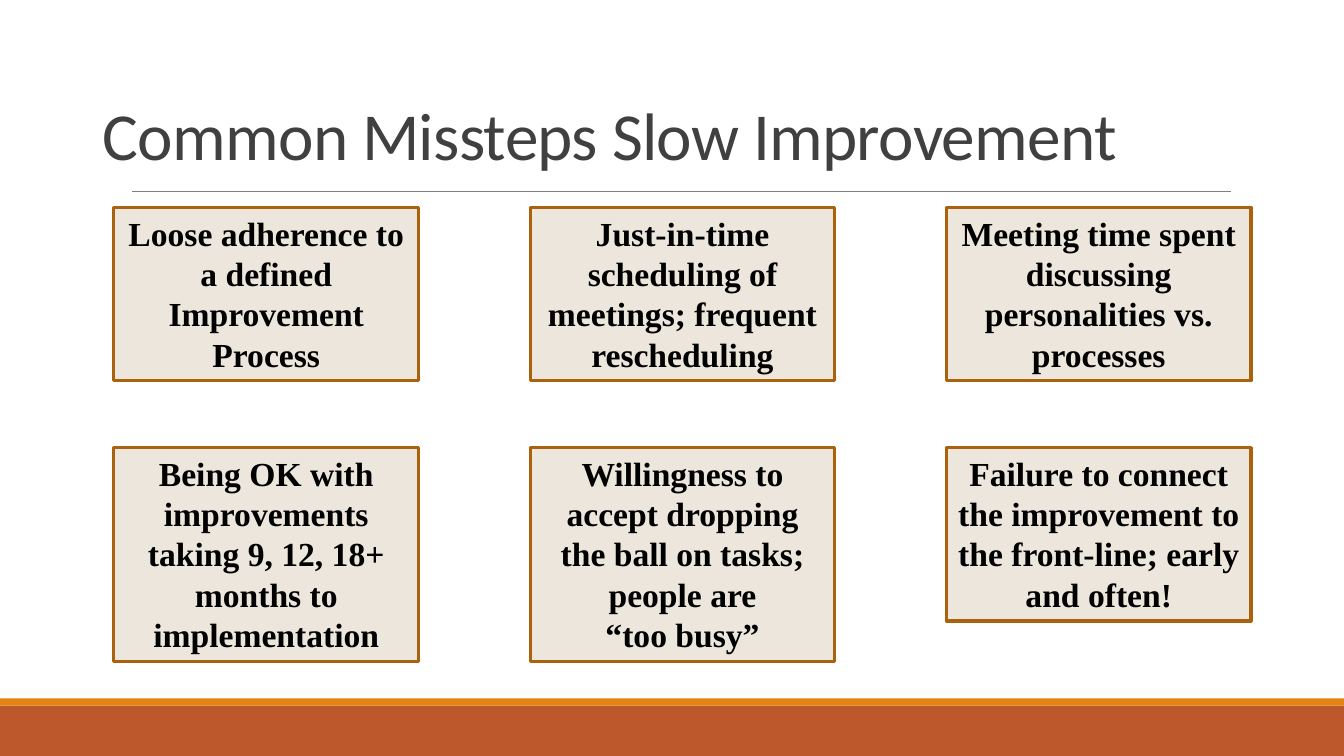
from pptx import Presentation
from pptx.dml.color import RGBColor
from pptx.enum.shapes import MSO_CONNECTOR, MSO_SHAPE
from pptx.enum.text import MSO_ANCHOR as Anchor, MSO_AUTO_SIZE as AutoSize, PP_ALIGN as Align
from pptx.oxml.ns import qn
from pptx.util import Cm, Pt
from lxml.etree import SubElement

COLORS = {
    "title": "404040",
    "rule": "808080",
    "card": "ECE6DD",
    "card_edge": "AB620D",
    "card_text": "000000",
    "footer": "BD582C",
    "footer_edge": "E48312",
}

# Each misstep: its text, by forced line, and the card height in cm
MISSTEPS = [
    (["Loose adherence to a defined Improvement Process"], 4.37),
    (["Just-in-time scheduling of meetings; frequent rescheduling"], 4.37),
    (["Meeting time spent discussing personalities vs. processes"], 4.37),
    (["Being OK with improvements taking 9, 12, 18+ months to implementation"], 5.38),
    (["Willingness to accept dropping the ball on tasks; people are", "“too busy”"], 5.38),
    (["Failure to connect the improvement to the front-line; early and often!"], 4.37),
]
COLUMNS = 3
CARD_LEFT, CARD_TOP, CARD_WIDTH = 2.87, 5.23, 7.68
COLUMN_STEP, ROW_STEP = 10.49, 6.05


def color(name):
    return RGBColor.from_string(COLORS[name])


def add_rect(slide, left, top, width, height, fill, edge=None):
    rect = slide.shapes.add_shape(
        MSO_SHAPE.RECTANGLE, Cm(left), Cm(top), Cm(width), Cm(height))
    rect.shadow.inherit = False
    rect.fill.solid()
    rect.fill.fore_color.rgb = color(fill)
    if edge:
        rect.line.color.rgb = color(edge)
        rect.line.width = Pt(2.25)
    else:
        rect.line.fill.background()
    return rect


def add_run(paragraph, text, font_name, size, ink, bold=False):
    run = paragraph.add_run()
    run.text = text
    run.font.name = font_name
    run.font.size = Pt(size)
    run.font.bold = bold
    run.font.color.rgb = color(ink)
    return run


def add_title(slide, text):
    title = slide.shapes.add_textbox(Cm(2.34), Cm(0.84), Cm(29.21), Cm(3.68))
    frame = title.text_frame
    frame.word_wrap = True
    frame.vertical_anchor = Anchor.BOTTOM
    paragraph = frame.paragraphs[0]
    paragraph.line_spacing = 0.85
    run = add_run(paragraph, text, "Calibri", 48, "title")
    run.font._element.set("spc", "-50")  # letter spacing, 1/100 pt


def add_rule(slide, left, right, top):
    rule = slide.shapes.add_connector(
        MSO_CONNECTOR.STRAIGHT, Cm(left), Cm(top), Cm(right), Cm(top))
    rule.line.color.rgb = color("rule")
    rule.line.width = Pt(0.5)
    SubElement(rule._element.spPr, qn("a:effectLst"))


def add_card(slide, left, top, height, lines):
    card = add_rect(slide, left, top, CARD_WIDTH, height, "card", "card_edge")
    frame = card.text_frame
    frame.word_wrap = True
    frame.auto_size = AutoSize.SHAPE_TO_FIT_TEXT
    frame.vertical_anchor = Anchor.TOP
    paragraph = frame.paragraphs[0]
    paragraph.alignment = Align.CENTER
    for number, line in enumerate(lines):
        if number:
            paragraph.add_line_break()
        add_run(paragraph, line, "Times New Roman", 24, "card_text", bold=True)


def main():
    deck = Presentation()
    deck.slide_width, deck.slide_height = Cm(33.87), Cm(19.05)
    slide = deck.slides.add_slide(deck.slide_layouts[6])

    # Footer bands
    add_rect(slide, 0, 17.78, 33.87, 1.27, "footer")
    add_rect(slide, 0, 17.6, 33.87, 0.18, "footer_edge")

    # Heading
    add_rule(slide, 3.33, 31.01, 4.83)
    add_title(slide, "Common Missteps Slow Improvement")

    # Grid of missteps
    for index, (lines, height) in enumerate(MISSTEPS):
        row, column = divmod(index, COLUMNS)
        add_card(slide, CARD_LEFT + column * COLUMN_STEP,
                 CARD_TOP + row * ROW_STEP, height, lines)

    deck.save("out.pptx")


if __name__ == "__main__":
    main()
